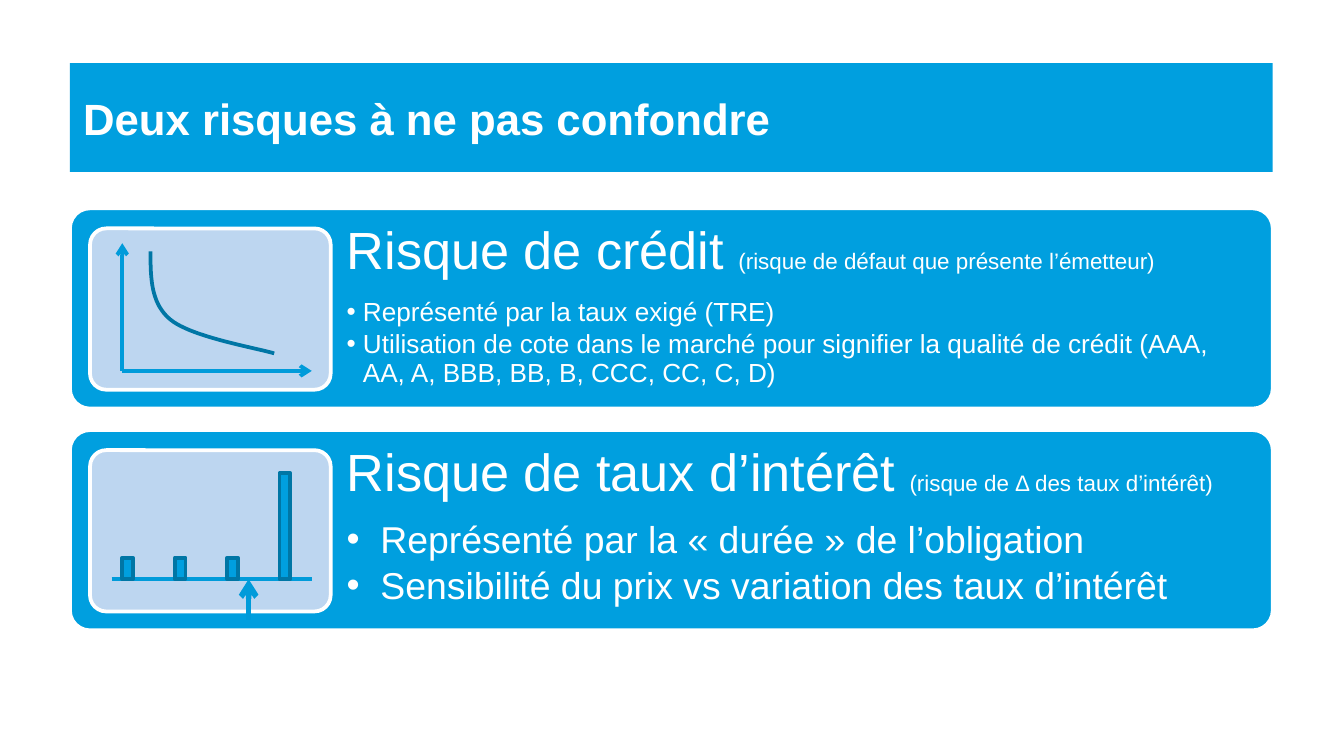
"""Build the slide that sets credit risk apart from interest rate risk."""
import lxml.etree
import pptx
import pptx.dml.color
import pptx.enum.shapes
import pptx.enum.text
import pptx.oxml.ns
import pptx.util

Inches = pptx.util.Inches
Pt = pptx.util.Pt
Shapes = pptx.enum.shapes.MSO_SHAPE
qn = pptx.oxml.ns.qn


def color(value):
    return pptx.dml.color.RGBColor.from_string(value)


def child(parent, tag, **attributes):
    return lxml.etree.SubElement(parent, qn(tag), attributes)


class RiskSlide:
    FONT = "Arial"
    BLUE = "009FDF"
    AXIS = "009BDA"
    DARK = "0076A5"
    PALE = "BDD6F0"
    WHITE = "FFFFFF"

    def __init__(self, slide):
        self.shapes = slide.shapes

    def outline(self, shape, value, width=2):
        shape.line.color.rgb = color(value)
        shape.line.width = Pt(width)

    def box(self, kind, left, top, width, height, fill, line=None):
        shape = self.shapes.add_shape(kind, Inches(left), Inches(top), Inches(width), Inches(height))
        shape.shadow.inherit = False
        shape.fill.solid()
        shape.fill.fore_color.rgb = color(fill)
        if line:
            self.outline(shape, line)
        else:
            shape.line.fill.background()
        if kind == Shapes.ROUNDED_RECTANGLE:
            shape.adjustments[0] = 0.1
        return shape

    def style(self, run, size, bold=False):
        run.font.name = self.FONT
        run.font.size = Pt(size)
        run.font.bold = bold
        run.font.color.rgb = color(self.WHITE)

    def title(self, text):
        frame = self.box(Shapes.RECTANGLE, 0.52, 0.47, 8.95, 0.81, self.BLUE).text_frame
        frame.text = text
        frame.word_wrap = True
        frame.vertical_anchor = pptx.enum.text.MSO_ANCHOR.MIDDLE
        paragraph = frame.paragraphs[0]
        paragraph.alignment = pptx.enum.text.PP_ALIGN.LEFT
        self.style(paragraph.runs[0], 23.4, True)

    def bullet(self, paragraph, indent):
        paragraph.level = 1
        properties = paragraph._p.get_or_add_pPr()
        properties.set("marL", str(Inches(indent)))
        properties.set("indent", str(-Inches(indent)))
        child(properties, "a:buFont", typeface=self.FONT)
        child(properties, "a:buChar", char="•")

    def card(self, top, heading, detail, bullets, size, indent):
        self.box(Shapes.ROUNDED_RECTANGLE, 0.52, top, 8.95, 1.49, self.BLUE, self.WHITE)
        frame = self.shapes.add_textbox(Inches(2.46), Inches(top), Inches(7.01), Inches(1.49)).text_frame
        frame.word_wrap = True
        frame.margin_left = frame.margin_top = frame.margin_right = frame.margin_bottom = Inches(0.12)
        paragraph = frame.paragraphs[0]
        paragraph.line_spacing = 0.9
        paragraph.space_after = Pt(28 * 0.35)
        for text, run_size in ((heading + " ", 28), (detail, 12)):
            run = paragraph.add_run()
            run.text = text
            self.style(run, run_size)
        for text in bullets:
            paragraph = frame.add_paragraph()
            paragraph.text = text
            self.bullet(paragraph, indent)
            paragraph.line_spacing = 0.9
            paragraph.space_after = Pt(size * 0.15)
            self.style(paragraph.runs[0], size)
        self.box(Shapes.ROUNDED_RECTANGLE, 0.67, top + 0.15, 1.79, 1.2, self.PALE, self.WHITE)

    def line(self, start, end, width=2, arrow=True):
        points = [Inches(value) for value in (*start, *end)]
        connector = self.shapes.add_connector(pptx.enum.shapes.MSO_CONNECTOR.STRAIGHT, *points)
        self.outline(connector, self.AXIS, width)
        if arrow:
            child(connector.line._get_or_add_ln(), "a:tailEnd", type="arrow")
        child(connector._element.spPr, "a:effectLst")

    def curve(self, start, segments, steps=24):
        points = []
        origin = start
        for segment in segments:
            corners = (origin, *segment)
            for step in range(1, steps + 1):
                t = step / steps
                weights = ((1 - t) ** 3, 3 * t * (1 - t) ** 2, 3 * t * t * (1 - t), t ** 3)
                points.append(tuple(
                    Inches(sum(weight * corner[axis] for weight, corner in zip(weights, corners)))
                    for axis in (0, 1)))
            origin = segment[-1]
        builder = self.shapes.build_freeform(Inches(start[0]), Inches(start[1]))
        builder.add_line_segments(points, close=False)
        shape = builder.convert_to_shape()
        shape.shadow.inherit = False
        shape.fill.background()
        self.outline(shape, self.DARK)

    def bars(self, left, gap, base, heights, width=0.08):
        for index, height in enumerate(heights):
            self.box(Shapes.RECTANGLE, left + index * gap, base - height, width, height, self.BLUE, self.DARK)


def main():
    presentation = pptx.Presentation()
    presentation.slide_width = Inches(10)
    presentation.slide_height = presentation.slide_width * 9 // 16
    risks = RiskSlide(presentation.slides.add_slide(presentation.slide_layouts[6]))
    risks.title("Deux risques à ne pas confondre")

    risks.card(1.55, "Risque de crédit", "(risque de défaut que présente l’émetteur)", (
        "Représenté par la taux exigé (TRE)",
        "Utilisation de cote dans le marché pour signifier la qualité de crédit "
        "(AAA, AA, A, BBB, BB, B, CCC, CC, C, D)"), 14, 0.12)
    risks.card(3.2, "Risque de taux d’intérêt", "(risque de Δ des taux d’intérêt)", (
        "Représenté par la « durée » de l’obligation",
        "Sensibilité du prix vs variation des taux d’intérêt"), 20, 0.25)

    origin = (0.91, 2.76)
    risks.line(origin, (2.32, 2.76))
    risks.line(origin, (0.91, 1.81))
    risks.curve((1.12, 1.87), (
        ((1.12, 2.06), (1.12, 2.26), (1.27, 2.38)),
        ((1.43, 2.51), (1.91, 2.59), (2.04, 2.63))))

    base = 4.31
    risks.line((0.83, base), (2.32, base), arrow=False)
    risks.bars(0.91, 0.39, base, (0.16, 0.16, 0.16, 0.79))
    risks.line((1.85, 4.61), (1.85, base), width=3)
    presentation.save("out.pptx")


if __name__ == "__main__":
    main()
